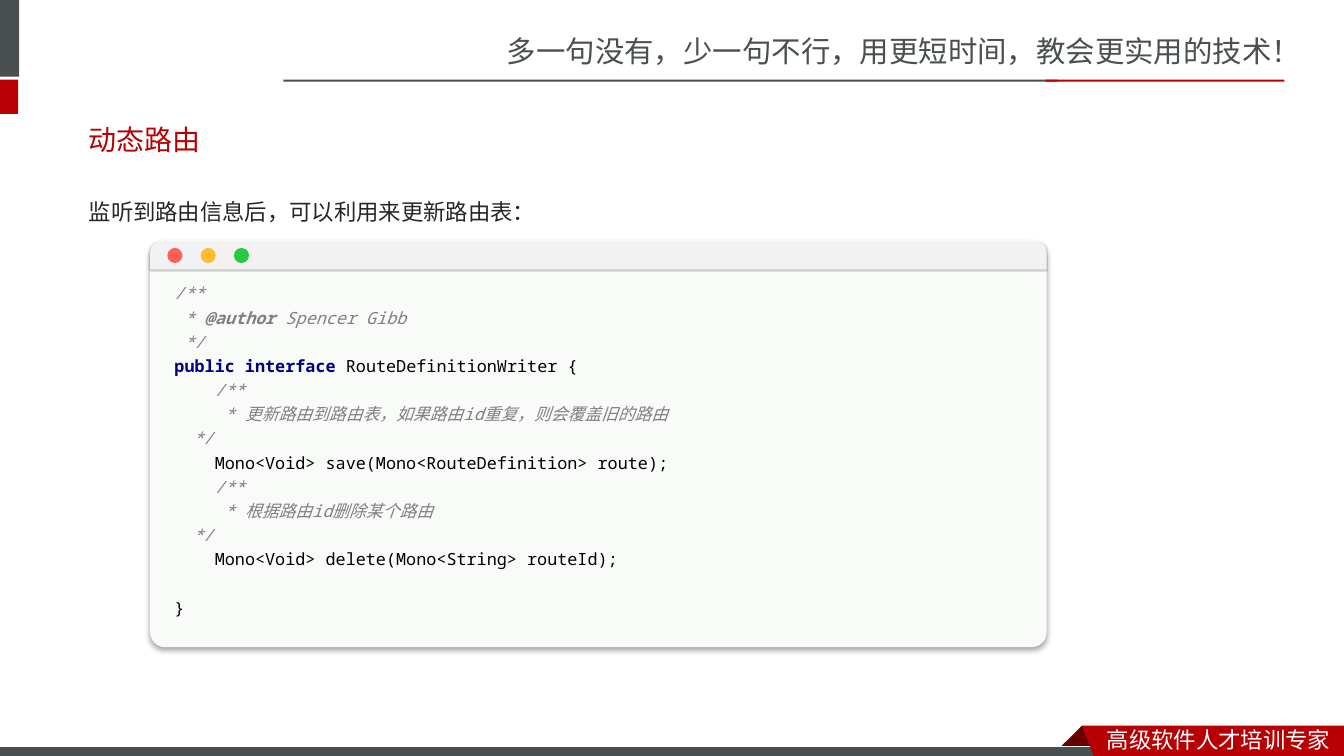
import copy
from dataclasses import dataclass

import lxml.etree
import pptx
import pptx.dml.color
import pptx.enum.shapes
import pptx.enum.text
import pptx.oxml
import pptx.oxml.ns
import pptx.util

Inches = pptx.util.Inches
SHAPE = pptx.enum.shapes.MSO_SHAPE
ANCHOR = pptx.enum.text.MSO_ANCHOR
qn = pptx.oxml.ns.qn


@dataclass(frozen=True)
class Theme:
    grey: str = "49504F"
    red: str = "B60004"
    dark_red: str = "680000"
    white: str = "FFFFFF"
    body: str = "262626"
    panel: str = "F9FBF9"
    panel_bar: str = "F2F2F2"
    dots: tuple = ("FF5F56", "FFBD2E", "27C93F")
    comment: str = "808080"
    keyword: str = "000080"
    code: str = "000000"
    slogan_size: int = 21
    title_size: int = 20
    body_size: int = 16
    code_size: int = 12
    cjk_font: str = "Noto Sans CJK SC"
    body_font: str = "Noto Sans CJK JP"
    title_font: str = "Arial"
    code_font: str = "Noto Sans Mono"
    note_font: str = "Courier New"


THEME = Theme()


def rgb(value):
    return pptx.dml.color.RGBColor.from_string(value)


def add_span(para, text, font=THEME.cjk_font, east_font=THEME.cjk_font,
             size=THEME.body_size, color=THEME.code, bold=False, italic=False):
    """Add formatted text; each newline becomes a line break of the same size."""
    for index, line in enumerate(text.split("\n")):
        span = para.add_run()
        span.text = line
        span.font.name = font
        span.font.size = pptx.util.Pt(size)
        span.font.bold = bold
        span.font.italic = italic
        span.font.color.rgb = rgb(color)
        properties = span.font._element
        east = lxml.etree.Element(qn("a:ea"), typeface=east_font)
        properties.find(qn("a:latin")).addnext(east)
        if index:
            para.add_line_break()
            line_break = para._p[-1]
            line_break.append(copy.deepcopy(properties))
            span._r.addprevious(line_break)
        if not line:
            para._p.remove(span._r)


def add_text_box(page, box, anchor=ANCHOR.TOP, wrap=True):
    frame = page.shapes.add_textbox(*map(Inches, box)).text_frame
    frame.word_wrap = wrap
    frame.vertical_anchor = anchor
    return frame


def paint(shape, fill, line=None):
    shape.shadow.inherit = False
    shape.fill.solid()
    shape.fill.fore_color.rgb = rgb(fill)
    if line:
        shape.line.color.rgb = rgb(line)
        shape.line.width = pptx.util.Pt(0.75)
    else:
        shape.line.fill.background()
    return shape


def add_block(page, kind, box, fill, line=None):
    return paint(page.shapes.add_shape(kind, *map(Inches, box)), fill, line)


def add_outline(page, left, top, points, fill):
    corners = [(Inches(left + x), Inches(top + y)) for x, y in points]
    builder = page.shapes.build_freeform(*corners[0])
    builder.add_line_segments(corners[1:], close=True)
    return paint(builder.convert_to_shape(), fill)


def add_shadow(shape, alpha, blur, distance):
    effects = shape._element.spPr.find(qn("a:effectLst"))
    shadow = lxml.etree.SubElement(
        effects, qn("a:outerShdw"), blurRad=str(pptx.util.Pt(blur)),
        dist=str(pptx.util.Pt(distance)), dir="5400000", algn="t", rotWithShape="0")
    color = lxml.etree.SubElement(shadow, qn("a:srgbClr"), val="000000")
    lxml.etree.SubElement(color, qn("a:alpha"), val=str(alpha * 1000))


def fill_placeholder(holder, box, text, anchor, spacing, **style):
    holder.left, holder.top, holder.width, holder.height = map(Inches, box)
    frame = holder.text_frame
    frame.auto_size = pptx.enum.text.MSO_AUTO_SIZE.NONE
    frame.word_wrap = True
    frame.vertical_anchor = anchor
    para = frame.paragraphs[0]
    properties = para._p.get_or_add_pPr()
    properties.set("marL", "0")
    properties.set("indent", "0")
    lxml.etree.SubElement(properties, qn("a:buNone"))
    para.alignment = pptx.enum.text.PP_ALIGN.LEFT
    para.line_spacing = spacing
    para.space_before = pptx.util.Pt(0)
    add_span(para, text, **style)


def draw_header(page, left, top, width):
    # Side tabs
    add_block(page, SHAPE.RECTANGLE, (left - 0.06, top, 0.25, 0.76), THEME.grey)
    add_block(page, SHAPE.RECTANGLE, (left - 0.06, top + 0.79, 0.24, 0.34), THEME.red)
    # Slogan and its two-colour rule
    frame = add_text_box(page, (left + 4.93, top + 0.28, width - 4.93, 0.47), wrap=False)
    add_span(frame.paragraphs[0], "多一句没有，少一句不行，用更短时间，教会更实用的技术！",
             size=THEME.slogan_size, color=THEME.grey)
    for start, length, color in ((2.81, 7.68, THEME.grey), (10.37, 2.37, THEME.red)):
        add_block(page, SHAPE.RECTANGLE, (left + start, top + 0.79, length, 0.02), color)


def draw_footer(page, left, top, width):
    # Ribbon fold, base bar and ribbon
    ribbon = left + width - 2.6
    add_outline(page, ribbon, top,
                [(0, 0), (0.22, 0.22), (0.21, 0.23), (-0.21, 0.23), (-0.22, 0.22)],
                THEME.dark_red)
    add_block(page, SHAPE.RECTANGLE, (left - 0.01, top + 0.21, 11, 0.12),
              THEME.grey, THEME.white)
    add_outline(page, ribbon, top, [(0, 0), (2.6, 0), (2.6, 0.34), (0.13, 0.33)], THEME.red)
    frame = add_text_box(page, (ribbon + 0.15, top - 0.05, 2.45, 0.37), wrap=False)
    add_span(frame.paragraphs[0], "高级软件人才培训专家", color=THEME.white)


def draw_code_window(page, left, top, width, height):
    # Window
    window = add_block(page, SHAPE.ROUNDED_RECTANGLE, (left, top, width, height), THEME.panel)
    window.adjustments[0] = 0.036
    add_shadow(window, 34, 4, 3)
    # Listing
    frame = add_text_box(page, (left, top + 0.34, 7.59, 3.48))
    frame.margin_left = frame.margin_right = Inches(0.24)
    para = frame.paragraphs[0]
    para.line_spacing = 1.2
    comment = dict(color=THEME.comment, italic=True)
    note = dict(comment, font=THEME.note_font)
    keyword = dict(color=THEME.keyword, bold=True)
    listing = [
        ("/**\n * ", comment), ("@author ", dict(comment, bold=True)),
        ("Spencer Gibb\n */\n", comment),
        ("public interface ", keyword), ("RouteDefinitionWriter {\n    ", {}),
        ("/**\n     * ", comment), ("更新路由到路由表，如果路由", note), ("id", comment),
        ("重复，则会覆盖旧的路由\n     ", note), ("*/\n    ", comment),
        ("Mono<Void> save(Mono<RouteDefinition> route);\n    ", {}),
        ("/**\n     * ", comment), ("根据路由", note), ("id", comment),
        ("删除某个路由\n     ", note), ("*/\n    ", comment),
        ("Mono<Void> delete(Mono<String> routeId);\n\n}", {}),
    ]
    for text, style in listing:
        add_span(para, text, **{"font": THEME.code_font, "size": THEME.code_size, **style})
    # Title bar with its buttons
    bar = add_block(page, SHAPE.ROUND_2_SAME_RECTANGLE,
                    (left, top + 0.02, width, 0.27), THEME.panel_bar)
    bar.adjustments[0] = 0.35
    add_shadow(bar, 20, 1, 1)
    for index, color in enumerate(THEME.dots):
        add_block(page, SHAPE.OVAL,
                  (left + 0.17 + 0.33 * index, top + 0.08, 0.15, 0.15), color)


def draw_content(page, left, top):
    # Title, lead sentence and code window
    fill_placeholder(page.placeholders[1], (left, top + 0.7, 11.7, 4.22),
                     "监听到路由信息后，可以利用来更新路由表：", ANCHOR.TOP, 1.5,
                     font=THEME.body_font, east_font=THEME.body_font, color=THEME.body)
    fill_placeholder(page.shapes.title, (left, top, 6.53, 0.61), "动态路由",
                     ANCHOR.MIDDLE, 1.0, font=THEME.title_font,
                     size=THEME.title_size, color=THEME.red)
    draw_code_window(page, left + 0.71, top + 1.3, 8.89, 4.04)


def main():
    deck = pptx.Presentation()
    deck.slide_width, deck.slide_height = Inches(13.33), Inches(7.5)
    page = deck.slides.add_slide(deck.slide_layouts[1])
    draw_header(page, 0, 0, 13.33)
    draw_footer(page, 0, 7.2, 13.33)
    draw_content(page, 0.78, 1.08)
    deck.save("out.pptx")


if __name__ == "__main__":
    main()
